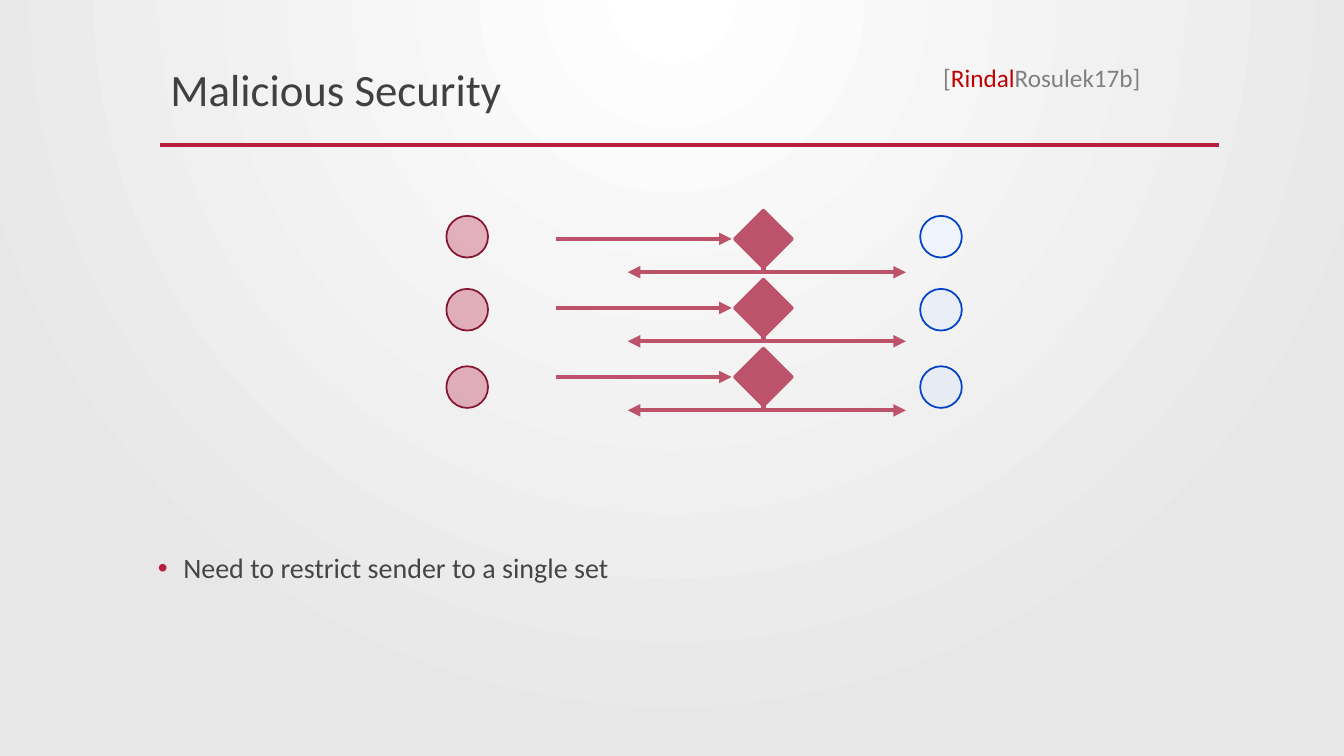
from dataclasses import dataclass

from lxml import etree
from pptx import Presentation
from pptx import util as u
from pptx.dml.color import RGBColor
from pptx.enum import shapes, text
from pptx.oxml import ns


@dataclass(frozen=True)
class Theme:
    font: str = "Calibri"
    title: str = "404040"
    body: str = "454545"
    muted: str = "808080"
    highlight: str = "C00000"
    accent: str = "B71E42"
    accent_edge: str = "871631"
    exchange: str = "BD536A"
    receiver: str = "D6E3FF"
    receiver_solid: str = "EFF3FC"
    receiver_edge: str = "0042C8"
    center: str = "FFFFFF"
    rim: str = "E7E7E7"
    title_size: int = 32
    body_size: int = 20
    citation_size: int = 18


THEME = Theme()


def color(value):
    return RGBColor.from_string(value)


def child(parent, tag, **attributes):
    return etree.SubElement(parent, ns.qn(tag), attributes)


def style_run(run, size, value):
    run.font.name = THEME.font
    run.font.size = u.Pt(size)
    run.font.color.rgb = color(value)


def paint(shape, fill, edge, width, alpha=None):
    shape.shadow.inherit = False
    shape.fill.solid()
    shape.fill.fore_color.rgb = color(fill)
    if alpha:
        fill_color = shape.fill._xPr.find(ns.qn("a:solidFill"))[0]
        child(fill_color, "a:alpha", val=str(alpha * 1000))
    shape.line.color.rgb = color(edge)
    shape.line.width = u.Pt(width)


def add_line(parent, start, end, value, width, arrow=False):
    points = [u.Cm(length) for length in (*start, *end)]
    line = parent.add_connector(shapes.MSO_CONNECTOR.STRAIGHT, *points)
    line.line.color.rgb = color(value)
    line.line.width = u.Pt(width)
    if arrow:
        child(line.line._get_or_add_ln(), "a:tailEnd", type="triangle")
    child(line._element.spPr, "a:effectLst")


def add_background(slide):
    fill = slide.background.fill
    fill.gradient()
    for stop, value in zip(fill.gradient_stops, (THEME.center, THEME.rim)):
        stop.color.rgb = color(value)
    gradient = slide.background._cSld.find(".//" + ns.qn("a:gradFill"))
    gradient.remove(gradient.find(ns.qn("a:lin")))
    circle = child(gradient, "a:path", path="circle")
    child(circle, "a:fillToRect", l="43000", t="0", r="43000", b="100000")


def add_header(slide, left, top, width, height):
    # Title
    title = slide.shapes.title
    title.left, title.top = u.Cm(left), u.Cm(top)
    title.width, title.height = u.Cm(width), u.Cm(height)
    frame = title.text_frame
    frame.text = "Malicious Security"
    frame.vertical_anchor = text.MSO_ANCHOR.MIDDLE
    paragraph = frame.paragraphs[0]
    paragraph.alignment = text.PP_ALIGN.LEFT
    paragraph.line_spacing = 0.9
    style_run(paragraph.runs[0], THEME.title_size, THEME.title)

    # Rule under the title
    rule = top + height + 0.48
    add_line(slide.shapes, (left, rule), (left + width, rule), THEME.accent, 2.5)

    # Citation
    box = slide.shapes.add_textbox(
        u.Cm(left + 19.48), u.Cm(top - 0.02), u.Cm(5.56), u.Cm(1.02))
    box.text_frame.word_wrap = False
    paragraph = box.text_frame.paragraphs[0]
    for part, value in (("[", THEME.muted), ("Rindal", THEME.highlight),
                        ("Rosulek17b]", THEME.muted)):
        run = paragraph.add_run()
        run.text = part
        style_run(run, THEME.citation_size, value)


def add_items(slide, left, tops, fills, edge):
    diameter = u.Cm(1.05)
    for top, (fill, alpha) in zip(tops, fills):
        item = slide.shapes.add_shape(
            shapes.MSO_SHAPE.OVAL, u.Cm(left), u.Cm(top), diameter, diameter)
        paint(item, fill, edge, 1.25, alpha)


def add_exchange(slide, left, top):
    """One input arrow into a diamond, with outputs to both sides."""
    group = slide.shapes.add_group_shape().shapes
    side = 1.0
    middle = left + 5.22
    center = top + side / 2
    output = top + 1.34

    diamond = group.add_shape(
        shapes.MSO_SHAPE.RECTANGLE, u.Cm(middle - side / 2), u.Cm(top),
        u.Cm(side), u.Cm(side))
    diamond.rotation = 315
    paint(diamond, THEME.exchange, THEME.exchange, 3)

    for start, end, arrow in (
            ((left, center), (left + 4.42, center), True),
            ((middle, output - 0.15), (middle, output - 0.05), False),
            ((middle + 0.05, output), (left + 1.8, output), True),
            ((middle, output), (left + 8.81, output), True)):
        add_line(group, start, end, THEME.exchange, 3, arrow)


def add_diagram(slide, left, top):
    # Sender and receiver items
    tops = [top + offset for offset in (0, 1.84, 3.79)]
    add_items(slide, left, tops, [(THEME.accent, 32)] * 3, THEME.accent_edge)
    receiver_fills = [(THEME.receiver_solid, None)] + [(THEME.receiver, 32)] * 2
    add_items(slide, left + 11.94, tops, receiver_fills, THEME.receiver_edge)

    # Exchanges between them
    for row in range(3):
        add_exchange(slide, left + 2.77, top + 0.08 + 1.74 * row)


def add_takeaway(slide, left, top, width, height):
    box = slide.shapes.add_textbox(u.Cm(left), u.Cm(top), u.Cm(width), u.Cm(height))
    frame = box.text_frame
    frame.word_wrap = True
    frame.text = "Need to restrict sender to a single set"
    paragraph = frame.paragraphs[0]
    paragraph.line_spacing = 1.2
    properties = paragraph._p.get_or_add_pPr()
    indent = u.Cm(0.64)
    properties.set("marL", str(indent))
    properties.set("indent", str(-indent))
    child(child(properties, "a:buClr"), "a:srgbClr", val=THEME.accent)
    child(properties, "a:buFont", typeface="Arial")
    child(properties, "a:buChar", char="•")
    style_run(paragraph.runs[0], THEME.body_size, THEME.body)


def main():
    presentation = Presentation()
    presentation.slide_width = u.Cm(33.87)
    presentation.slide_height = u.Cm(19.05)
    slide = presentation.slides.add_slide(presentation.slide_layouts[5])
    add_background(slide)
    add_header(slide, 4.04, 1.47, 26.67, 1.7)
    add_diagram(slide, 11.25, 5.44)
    add_takeaway(slide, 3.73, 13.59, 26.67, 5.33)
    presentation.save("out.pptx")


if __name__ == "__main__":
    main()
